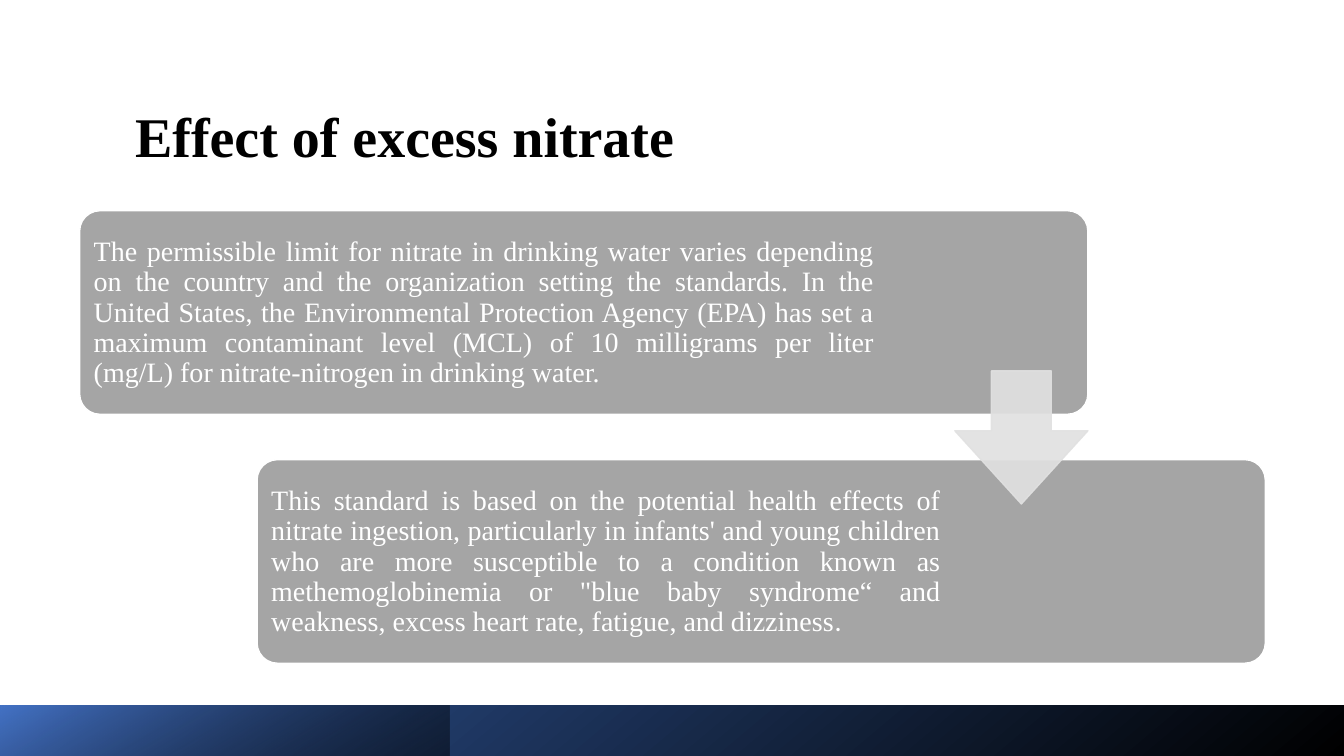
from pptx import Presentation
from pptx import util as u
from pptx.dml.color import RGBColor
from pptx.enum import shapes, text
from pptx.oxml.ns import qn
from lxml import etree

PX = 9144  # 100 px to the inch
SERIF = "Times New Roman"

prs = Presentation()
prs.slide_width, prs.slide_height = 1333 * PX, 750 * PX
slide = prs.slides.add_slide(prs.slide_layouts[5])


def paint(color_format, color, opacity=100):
    color_format.rgb = RGBColor.from_string(color)
    if opacity < 100:
        for rgb in color_format._xFill.iter(qn("a:srgbClr")) if hasattr(color_format, "_xFill") else []:
            etree.SubElement(rgb, qn("a:alpha"), val=str(opacity * 1000))


def add_run(paragraph, words, size, font, color, bold=False):
    run = paragraph.add_run()
    run.text = words
    run.font.size, run.font.name, run.font.bold = u.Pt(size), font, bold
    paint(run.font.color, color)


# Title
title = slide.shapes.title
title.left, title.top, title.width, title.height = [n * PX for n in (124, 78, 1113, 120)]
title.text_frame.vertical_anchor = text.MSO_ANCHOR.MIDDLE
heading = title.text_frame.paragraphs[0]
heading.alignment, heading.line_spacing = text.PP_ALIGN.LEFT, 0.9
add_run(heading, "Effect of excess nitrate", 40, SERIF, "000000", True)

# Footer bands: width, end colour, opacity of the black start, end position, clockwise angle
for width, end_color, opacity, end, angle in [
    (1333, "2F5597", 100, 1, 230),
    (446, "4472C4", 46, 0.99, 240),
]:
    band = slide.shapes.add_shape(shapes.MSO_SHAPE.RECTANGLE, 0, 700 * PX, width * PX, 51 * PX)
    band.shadow.inherit = False
    band.line.fill.background()
    band.fill.gradient()
    band.fill.gradient_angle = 360 - angle
    start_stop, end_stop = band.fill.gradient_stops
    start_stop.position, end_stop.position = 0, end
    paint(start_stop.color, "000000")
    paint(end_stop.color, end_color)
    if opacity < 100:
        black = next(band.element.iter(qn("a:srgbClr")))
        etree.SubElement(black, qn("a:alpha"), val=str(opacity * 1000))

# Two stepped panels, each with its statement
statements = [
    (79, 209, 790, [(
        "The permissible limit for nitrate in drinking water varies depending on the country and "
        "the organization setting the standards. In the United States, the Environmental "
        "Protection Agency (EPA) has set a maximum contaminant level (MCL) of 10 milligrams per "
        "liter (mg/L) for nitrate-nitrogen in drinking water.", SERIF)]),
    (255, 456, 680, [(
        "This standard is based on the potential health effects of nitrate ingestion, "
        "particularly in infants' and young children who are more susceptible to a condition "
        "known as methemoglobinemia or \"blue baby syndrome“ and weakness, excess heart rate, "
        "fatigue, and dizziness", SERIF), (".", "Calibri")]),
]
for left, top, text_width, pieces in statements:
    panel = slide.shapes.add_shape(
        shapes.MSO_SHAPE.ROUNDED_RECTANGLE, left * PX, top * PX, 1000 * PX, 202 * PX)
    panel.adjustments[0] = 0.1
    panel.shadow.inherit = False
    panel.fill.solid()
    paint(panel.fill.fore_color, "A5A5A5")
    paint(panel.line.color, "FFFFFF")
    panel.line.width = u.Pt(1)

    statement = slide.shapes.add_textbox(
        (left + 6) * PX, (top + 6) * PX, text_width * PX, 191 * PX).text_frame
    statement.word_wrap = True
    statement.vertical_anchor = text.MSO_ANCHOR.MIDDLE
    statement.margin_left = statement.margin_right = 8 * PX
    statement.margin_top = statement.margin_bottom = 8 * PX
    paragraph = statement.paragraphs[0]
    paragraph.alignment, paragraph.line_spacing = text.PP_ALIGN.JUSTIFY, 0.9
    for words, font in pieces:
        add_run(paragraph, words, 20, font, "FFFFFF")

# Translucent arrow from the first panel to the second
arrow = slide.shapes.add_shape(
    shapes.MSO_SHAPE.DOWN_ARROW, 947 * PX, 368 * PX, 132 * PX, 132 * PX)
arrow.adjustments[0], arrow.adjustments[1] = 0.45, 0.55
arrow.shadow.inherit = False
arrow.fill.solid()
paint(arrow.fill.fore_color, "E1E1E1")
paint(arrow.line.color, "E1E1E1")
arrow.line.width = u.Pt(1)
for gray in arrow.element.iter(qn("a:srgbClr")):
    etree.SubElement(gray, qn("a:alpha"), val="90000")

prs.save("out.pptx")
